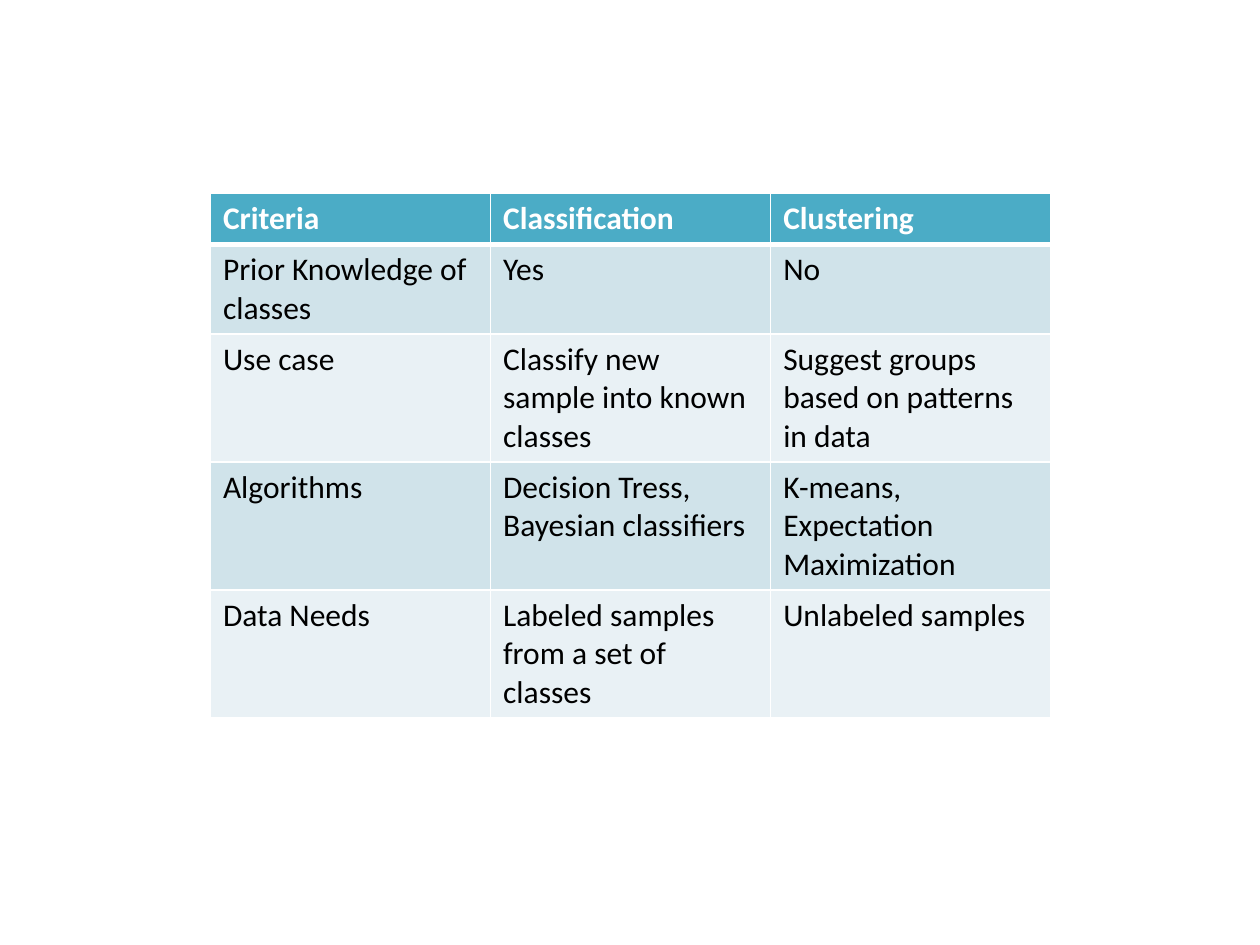
"""Build a slide with a table comparing classification and clustering."""
from lxml.etree import SubElement
from pptx import Presentation
from pptx.dml.color import RGBColor
from pptx.oxml.ns import qn
from pptx.util import Inches, Pt

ROWS = [
    ("Criteria", "Classification", "Clustering"),
    ("Prior Knowledge of classes", "Yes", "No"),
    ("Use case", "Classify new sample into known classes",
     "Suggest groups based on patterns in data"),
    ("Algorithms", "Decision Tress, Bayesian classifiers",
     "K-means, Expectation Maximization"),
    ("Data Needs", "Labeled samples from a set of classes", "Unlabeled samples"),
]
WHITE = RGBColor(0xFF, 0xFF, 0xFF)
BLACK = RGBColor(0x00, 0x00, 0x00)
TEAL = RGBColor(0x4B, 0xAC, 0xC6)
BANDS = (RGBColor(0xE9, 0xF1, 0xF5), RGBColor(0xD0, 0xE3, 0xEA))
HEADER_FONT = {"name": "Calibri", "size": Pt(18), "bold": True}
BODY_FONT = {**HEADER_FONT, "bold": False}
LEFT, TOP, WIDTH, ROW_HEIGHT = 1.67, 1.53, 6.67, 0.41


def add_borders(cell, widths):
    """Draw white cell borders with the given widths in points."""
    properties = cell._tc.get_or_add_tcPr()
    for side, width in widths.items():
        line = SubElement(properties, qn(f"a:ln{side}"), w=str(Pt(width)))
        fill = SubElement(line, qn("a:solidFill"))
        SubElement(fill, qn("a:srgbClr"), val=str(WHITE))


def fill_cell(cell, text, row_index):
    """Write and format one table cell."""
    is_header = row_index == 0
    add_borders(cell, {"L": 1, "R": 1, "T": 3 if row_index == 1 else 1,
                       "B": 3 if is_header else 1})
    cell.fill.solid()
    cell.fill.fore_color.rgb = TEAL if is_header else BANDS[row_index % 2]
    cell.text = text
    font = cell.text_frame.paragraphs[0].runs[0].font
    for name, value in (HEADER_FONT if is_header else BODY_FONT).items():
        setattr(font, name, value)
    font.color.rgb = WHITE if is_header else BLACK


def main():
    """Create the slide and save it."""
    presentation = Presentation()
    presentation.slide_width, presentation.slide_height = Inches(10), Inches(7.5)
    slide = presentation.slides.add_slide(presentation.slide_layouts[6])
    table = slide.shapes.add_table(
        len(ROWS), len(ROWS[0]), Inches(LEFT), Inches(TOP),
        Inches(WIDTH), Inches(ROW_HEIGHT * len(ROWS))).table
    for row_index, texts in enumerate(ROWS):
        for column_index, text in enumerate(texts):
            fill_cell(table.cell(row_index, column_index), text, row_index)
    presentation.save("out.pptx")


if __name__ == "__main__":
    main()
